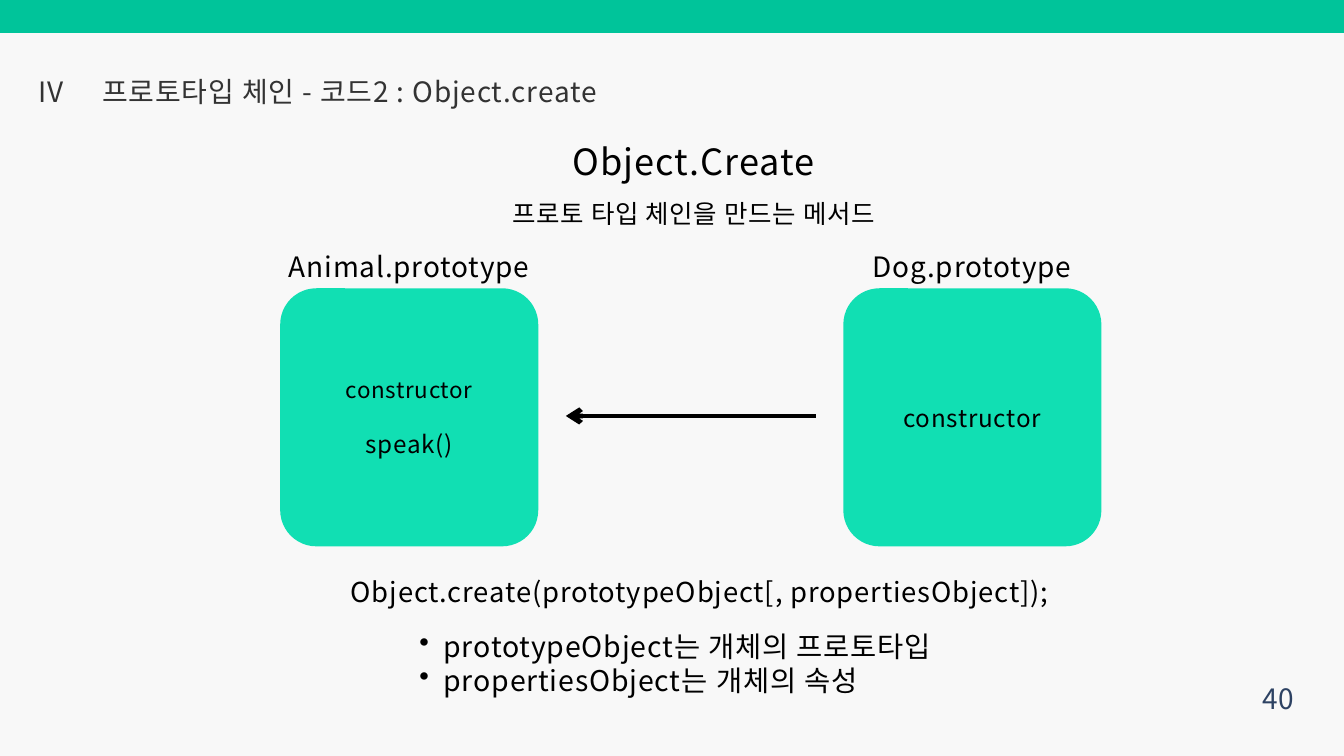
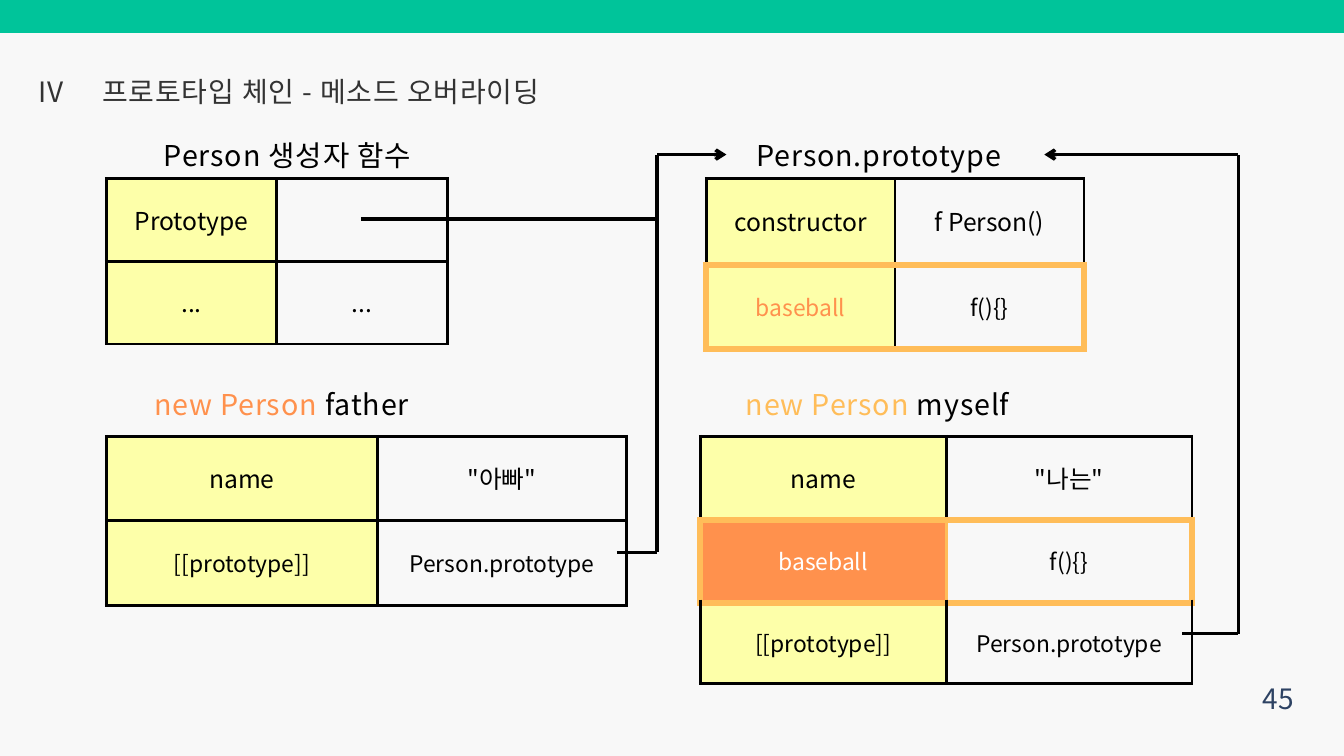
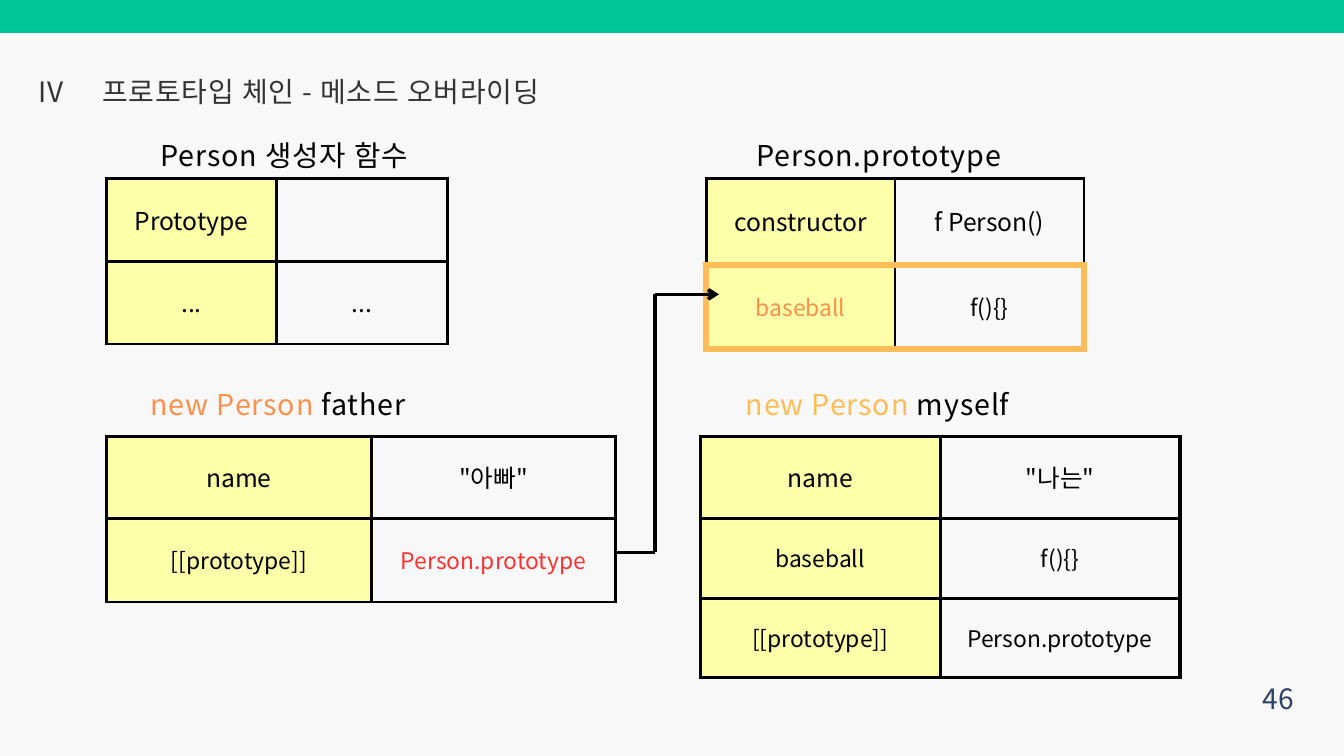
from lxml import etree
from pptx import Presentation
from pptx.dml.color import RGBColor
from pptx.enum.shapes import MSO_CONNECTOR, MSO_SHAPE
from pptx.enum.text import MSO_ANCHOR, MSO_AUTO_SIZE, PP_ALIGN
from pptx.oxml.ns import qn
from pptx.util import Inches, Pt

STRAIGHT = MSO_CONNECTOR.STRAIGHT
RECTANGLE, ROUNDED = MSO_SHAPE.RECTANGLE, MSO_SHAPE.ROUNDED_RECTANGLE
TOP, MIDDLE = MSO_ANCHOR.TOP, MSO_ANCHOR.MIDDLE
LEFT, CENTER, RIGHT = PP_ALIGN.LEFT, PP_ALIGN.CENTER, PP_ALIGN.RIGHT
NO_AUTOFIT = MSO_AUTO_SIZE.NONE

PAPER = RGBColor(0xF8, 0xF8, 0xF8)
GREEN = RGBColor(0x00, 0xC4, 0x9A)
MINT = RGBColor(0x11, 0xDF, 0xB3)
BLACK = RGBColor(0x00, 0x00, 0x00)
WHITE = RGBColor(0xFF, 0xFF, 0xFF)
CHARCOAL = RGBColor(0x33, 0x33, 0x33)
NAVY = RGBColor(0x2D, 0x42, 0x63)
YELLOW = RGBColor(0xFD, 0xFF, 0xA9)
ORANGE = RGBColor(0xFF, 0x91, 0x4D)
AMBER = RGBColor(0xFF, 0xBD, 0x59)
RED = RGBColor(0xFF, 0x31, 0x31)

FONT = "Noto Sans CJK KR"
COLUMNS, ROWS = 20, 11.25
SLIDE_WIDTH, SLIDE_HEIGHT = Inches(COLUMNS), Inches(ROWS)
CELL = SLIDE_WIDTH / COLUMNS

CAPTION_SIZE = 30.7
TABLE_LINE, HIGHLIGHT_LINE = 3.36, 7.82
OVERRIDING = "프로토타입 체인 - 메소드 오버라이딩"


def grid(*lengths):
    return [round(length * CELL) for length in lengths]


def write(paragraph, runs, size, colour=BLACK, alignment=CENTER, leading=1.2, tracking=0.03):
    if isinstance(runs, str):
        runs = [(runs, colour)]
    paragraph.alignment = alignment
    paragraph.line_spacing = Pt(round(size * leading, 1))
    font = paragraph.font
    font.size = Pt(size)
    font.name = FONT
    if len(runs) == 1:
        font.color.rgb = runs[0][1]
    properties = paragraph._p.pPr.find(qn("a:defRPr"))
    properties.set("spc", str(round(round(size * tracking, 1) * 100)))
    etree.SubElement(properties, qn("a:ea"), typeface=FONT)
    for text, run_colour in runs:
        run = paragraph.add_run()
        run.text = text
        if len(runs) > 1:
            run.font.color.rgb = run_colour


def prepare_frame(frame, anchor=TOP, margin=0):
    frame.word_wrap = True
    frame.auto_size = NO_AUTOFIT
    frame.vertical_anchor = anchor
    frame.margin_left = frame.margin_right = Inches(margin)
    frame.margin_top = frame.margin_bottom = Inches(margin)
    return frame


def add_text(slide, box, runs, size, **style):
    frame = prepare_frame(slide.shapes.add_textbox(*grid(*box)).text_frame)
    write(frame.paragraphs[0], runs, size, **style)


def add_block(slide, kind, box, fill):
    shape = slide.shapes.add_shape(kind, *grid(*box))
    shape.shadow.inherit = False
    shape.fill.solid()
    shape.fill.fore_color.rgb = fill
    shape.line.fill.background()
    return shape


def add_route(slide, points, width=3.75, arrow=True):
    for start, end in zip(points, points[1:]):
        connector = slide.shapes.add_connector(STRAIGHT, *grid(*start, *end))
        connector.line.color.rgb = BLACK
        connector.line.width = Pt(width)
        properties = connector._element.spPr
        if arrow and end == points[-1]:
            etree.SubElement(properties.find(qn("a:ln")), qn("a:tailEnd"), type="arrow")
        etree.SubElement(properties, qn("a:effectLst"))


def add_base_slide(presentation, heading, number):
    slide = presentation.slides.add_slide(presentation.slide_layouts[5])
    add_block(slide, RECTANGLE, (0, 0, COLUMNS, 0.49), GREEN)
    title = slide.shapes.title
    title.left, title.top, title.width, title.height = grid(1.52, 1.11, 11.58, 0.51)
    frame = prepare_frame(title.text_frame)
    write(frame.paragraphs[0], heading, 30, colour=CHARCOAL, alignment=LEFT)
    add_text(slide, (0.46, 1.11, 0.59, 0.51), "IV", 30, colour=CHARCOAL)
    add_text(slide, (18.5, 9.97, 0.75, 0.64), str(number), 30,
             colour=NAVY, alignment=RIGHT, leading=1.6, tracking=0)
    return slide


def add_prototype_card(slide, box, name, members):
    left, top, width, height = box
    add_text(slide, (left, top - 0.58, width, 0.5), name, 30)
    card = add_block(slide, ROUNDED, box, MINT)
    card.adjustments[0] = 0.14
    frame = prepare_frame(card.text_frame, MIDDLE, 0.06)
    for index, (member, size) in enumerate(members):
        paragraph = frame.add_paragraph() if index else frame.paragraphs[0]
        if index:
            paragraph.space_before = Pt(28.8)
        write(paragraph, member, size)


def add_bullets(slide, box, lines):
    frame = prepare_frame(slide.shapes.add_textbox(*grid(*box)).text_frame)
    for index, line in enumerate(lines):
        paragraph = frame.add_paragraph() if index else frame.paragraphs[0]
        properties = paragraph._p.get_or_add_pPr()
        properties.set("marL", str(Inches(0.72)))
        properties.set("indent", str(Inches(-0.36)))
        etree.SubElement(properties, qn("a:buChar"), char="•")
        write(paragraph, line, 30.5, alignment=LEFT)


def set_border(cell, side, colour, width):
    line = etree.SubElement(cell._tc.get_or_add_tcPr(), qn(f"a:ln{side}"), w=str(Pt(width)))
    fill = etree.SubElement(line, qn("a:solidFill"))
    etree.SubElement(fill, qn("a:srgbClr"), val=str(colour))


def set_borders(cell, row, column, highlight, divider, width):
    accent, plain = (AMBER, HIGHLIGHT_LINE), (BLACK, width)
    outer = accent if row == highlight else plain
    inner = (divider, width) if row == highlight else plain
    set_border(cell, "L", *(inner if column else outer))
    set_border(cell, "R", *(outer if column else inner))
    set_border(cell, "T", *(accent if highlight in (row, row - 1) else plain))
    set_border(cell, "B", *(accent if highlight in (row, row + 1) else plain))


def add_property_table(slide, origin, widths, heights, entries, text_colours=None,
                       fills=None, highlight=None, divider=BLACK, line_width=TABLE_LINE):
    box = (*origin, sum(widths), sum(heights))
    table = slide.shapes.add_table(len(heights), len(widths), *grid(*box)).table
    table.first_row = table.horz_banding = False
    for column, width in zip(table.columns, grid(*widths)):
        column.width = width
    for row, height in zip(table.rows, grid(*heights)):
        row.height = height
    for row, entry in enumerate(entries):
        for column, text in enumerate(entry):
            place = (row, column)
            cell = table.cell(*place)
            set_borders(cell, row, column, highlight, divider, line_width)
            if column:
                cell.fill.background()
            else:
                cell.fill.solid()
                cell.fill.fore_color.rgb = (fills or {}).get(place, YELLOW)
            cell.vertical_anchor = MIDDLE
            cell.margin_left = cell.margin_right = Inches(0.23)
            cell.margin_top = cell.margin_bottom = Inches(0.23)
            if text:
                size = 26.4 if row == 0 or text == "..." else 24.5
                write(cell.text_frame.paragraphs[0], text, size, leading=1.4, tracking=0,
                      colour=(text_colours or {}).get(place, BLACK))


def add_caption(slide, center, top, runs):
    width = 4.5
    add_text(slide, (center - width / 2, top, width, 0.5), runs, CAPTION_SIZE)


def add_create_slide(presentation):
    slide = add_base_slide(presentation, "프로토타입 체인 - 코드2 : Object.create", 40)
    add_text(slide, (8.24, 2.07, 4.17, 0.65), "Object.Create", 38.7)
    add_text(slide, (7.37, 2.95, 5.91, 0.45), "프로토 타입 체인을 만드는 메서드", 27.3)
    side = 3.84
    add_prototype_card(slide, (4.17, 4.29, side, side), "Animal.prototype",
                       [("constructor", 24), ("speak()", 26)])
    add_prototype_card(slide, (12.55, 4.29, side, side), "Dog.prototype", [("constructor", 26)])
    add_route(slide, [(12.14, 6.19), (8.42, 6.19)], width=5.25)
    add_text(slide, (4.45, 8.56, 11.94, 0.5),
             "Object.create(prototypeObject[, propertiesObject]);", 29.4)
    add_bullets(slide, (5.88, 9.36, 8.7, 1.04),
                ["prototypeObject는 개체의 프로토타입", "propertiesObject는 개체의 속성"])


def add_overriding_slide(presentation, number, left_center, father, myself):
    slide = add_base_slide(presentation, OVERRIDING, number)
    right_center = 13.08
    add_caption(slide, left_center, 2.05, "Person 생성자 함수")
    add_property_table(slide, (1.58, 2.66), [2.54] * 2, [1.23] * 2,
                       [("Prototype", ""), ("...", "...")])
    add_caption(slide, right_center, 2.05, "Person.prototype")
    add_property_table(slide, (10.51, 2.66), [2.81] * 2, [1.28, 1.25],
                       [("constructor", "f Person()"), ("baseball", "f(){}")],
                       text_colours={(1, 0): ORANGE}, highlight=1)
    link = ("[[prototype]]", "Person.prototype")
    add_caption(slide, left_center - 0.09, 5.76, [("new Person", ORANGE), (" father", BLACK)])
    add_property_table(slide, (1.58, 6.49), entries=[("name", '"아빠"'), link], **father)
    add_caption(slide, right_center - 0.02, 5.76, [("new Person", AMBER), (" myself", BLACK)])
    add_property_table(slide, (10.42, 6.49),
                       entries=[("name", '"나는"'), ("baseball", "f(){}"), link], **myself)
    return slide


def add_linked_slide(presentation):
    father = dict(widths=[4.04, 3.7], heights=[1.26] * 2)
    myself = dict(widths=[3.66] * 2, heights=[1.25, 1.23, 1.2], highlight=1, divider=AMBER,
                  text_colours={(1, 0): WHITE}, fills={(1, 0): ORANGE})
    slide = add_overriding_slide(presentation, 45, 4.28, father, myself)
    trunk, outside, target = 9.78, 18.43, 2.3
    add_route(slide, [(5.37, 3.26), (trunk, 3.26)], arrow=False)
    add_route(slide, [(9.18, 8.22), (trunk, 8.22), (trunk, target), (10.81, target)])
    add_route(slide, [(17.59, 9.43), (outside, 9.43), (outside, target), (15.54, target)])


def add_lookup_slide(presentation):
    father = dict(widths=[3.95, 3.63], heights=[1.23, 1.24], text_colours={(1, 1): RED})
    myself = dict(widths=[3.57] * 2, heights=[1.22, 1.2, 1.17], line_width=3.75)
    slide = add_overriding_slide(presentation, 46, 4.23, father, myself)
    trunk, target = 9.75, 4.38
    add_route(slide, [(9.18, 8.22), (trunk, 8.22), (trunk, target), (10.7, target)])


def main():
    presentation = Presentation()
    presentation.slide_width, presentation.slide_height = SLIDE_WIDTH, SLIDE_HEIGHT
    background = presentation.slide_master.background.fill
    background.solid()
    background.fore_color.rgb = PAPER
    add_create_slide(presentation)
    add_linked_slide(presentation)
    add_lookup_slide(presentation)
    presentation.save("out.pptx")


if __name__ == "__main__":
    main()
